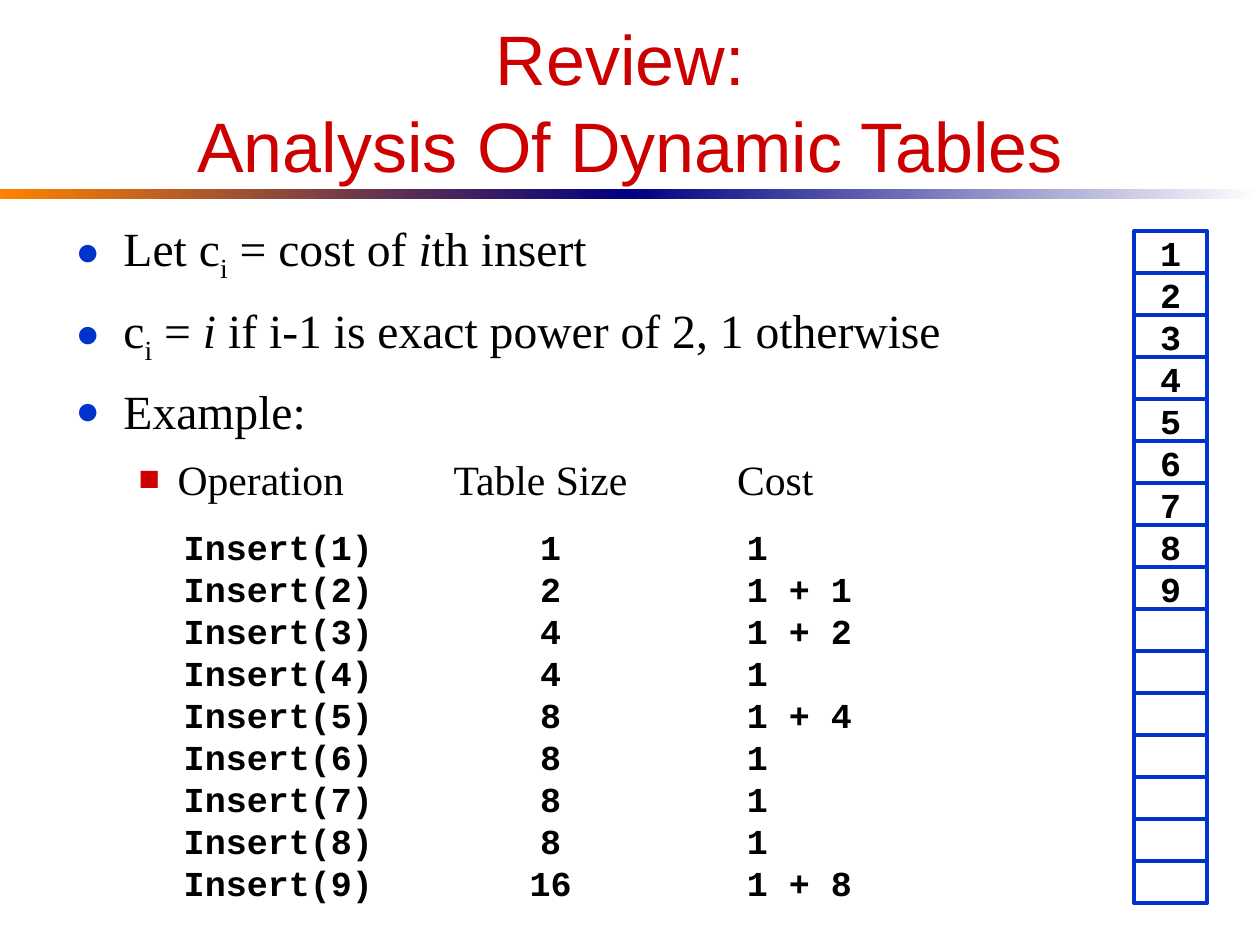
"""Build the slide reviewing the cost of inserts into a dynamic table."""
from lxml import etree
from pptx import Presentation
from pptx.dml.color import RGBColor
from pptx.enum.shapes import MSO_SHAPE
from pptx.enum.text import MSO_ANCHOR, MSO_AUTO_SIZE, PP_ALIGN
from pptx.oxml.ns import qn
from pptx.util import Inches, Pt

RECT = MSO_SHAPE.RECTANGLE
MIDDLE = MSO_ANCHOR.MIDDLE
LEFT, CENTER = PP_ALIGN.LEFT, PP_ALIGN.CENTER
COLORS = {"red": "CC0000", "blue": "0033CC", "navy": "000082",
          "orange": "FF8200", "white": "FFFFFF", "black": "000000"}

TITLE = "Review: \vAnalysis Of Dynamic Tables"
POINTS = [
    (0, [("Let c", ""), ("i", "sub"), (" = cost of ", ""), ("i", "ital"),
         ("th insert", "")]),
    (0, [("c", ""), ("i", "sub"), (" = ", ""), ("i", "ital"),
         (" if i-1 is exact power of 2, 1 otherwise", "")]),
    (0, [("Example:", "")]),
    (1, [("Operation\tTable Size\tCost", "")]),
]
LEVELS = [
    {"size": 27.2, "before": 8, "left": 0.38, "hang": 0.38, "mark": "●", "color": "blue"},
    {"size": 23.8, "before": 7, "left": 0.81, "hang": 0.31, "mark": "■", "color": "red"},
]
TABS = [3, 5.25]
SIZES = [1, 2, 4, 4, 8, 8, 8, 8, 16]
COSTS = ["1", "1 + 1", "1 + 2", "1", "1 + 4", "1", "1", "1", "1 + 8"]
SLOTS = 16

WIDE, HIGH = 10, 7.5
ROW = 1 / 3
CELL = 0.58
STACK_X, STACK_Y = 9, 5.5 * ROW
LIST_Y = 12.5 * ROW
COLUMNS = [(1.92, CELL, CENTER), (4.08, CELL, CENTER), (5.83, 0.83, LEFT)]
BARS = [("orange", "navy"), ("navy", "white")]


def hue(name):
    return RGBColor.from_string(COLORS[name])


def style(para, face, size, color, bold=False):
    font = para.font
    font.name, font.size, font.bold = face, Pt(size), bold
    font.color.rgb = hue(color)


def place(shape, *box):
    shape.left, shape.top, shape.width, shape.height = map(Inches, box)


def add_rect(slide, *box):
    shape = slide.shapes.add_shape(RECT, *map(Inches, box))
    shape.shadow.inherit = False
    shape.line.fill.background()
    return shape


def add_cell(slide, box, text, align=CENTER, edge=False):
    cell = add_rect(slide, *box)
    cell.fill.solid()
    cell.fill.fore_color.rgb = hue("white")
    if edge:
        cell.line.color.rgb = hue("blue")
        cell.line.width = Pt(2.25)
    if text:
        frame = cell.text_frame
        frame.word_wrap = False
        frame.vertical_anchor = MIDDLE
        para = frame.paragraphs[0]
        para.text, para.alignment = text, align
        style(para, "Courier New", 20, "black", True)


def add_bullet(para, look):
    props = para._p.get_or_add_pPr()
    props.set("marL", str(Inches(look["left"])))
    props.set("indent", str(-Inches(look["hang"])))
    tint = etree.SubElement(props, qn("a:buClr"))
    etree.SubElement(tint, qn("a:srgbClr"), val=COLORS[look["color"]])
    etree.SubElement(props, qn("a:buSzPct"), val="85000")
    etree.SubElement(props, qn("a:buFont"), typeface="Times New Roman")
    etree.SubElement(props, qn("a:buChar"), char=look["mark"])
    stops = etree.SubElement(props, qn("a:tabLst"))
    for stop in TABS:
        etree.SubElement(stops, qn("a:tab"), pos=str(Inches(stop)), algn="l")


def fill_body(frame):
    frame.auto_size = MSO_AUTO_SIZE.NONE
    for i, (level, parts) in enumerate(POINTS):
        look = LEVELS[level]
        para = frame.paragraphs[0] if i == 0 else frame.add_paragraph()
        para.level = level
        para.line_spacing = 1.04
        para.space_before = Pt(look["before"] if i else 0)
        add_bullet(para, look)
        style(para, "Times New Roman", look["size"], "black")
        for text, kind in parts:
            run = para.add_run()
            run.text = text
            if kind == "sub":
                run._r.get_or_add_rPr().set("baseline", "-25000")
            elif kind == "ital":
                run.font.italic = True


def main():
    deck = Presentation()
    deck.slide_width, deck.slide_height = Inches(WIDE), Inches(HIGH)
    slide = deck.slides.add_slide(deck.slide_layouts[1])
    title, body = slide.placeholders

    place(title, 0.5, 0.25, 9, 1.08)
    frame = title.text_frame
    frame.auto_size = MSO_AUTO_SIZE.NONE
    frame.vertical_anchor = MIDDLE
    para = frame.paragraphs[0]
    para.text, para.alignment, para.line_spacing = TITLE, CENTER, 1.04
    style(para, "Arial", 40, "red")

    place(body, 0.5, 1.67, 9, 2.25)
    fill_body(body.text_frame)

    half = WIDE / len(BARS)
    for i, ends in enumerate(BARS):
        bar = add_rect(slide, i * half, HIGH / 5, half, 0.08)
        bar.fill.gradient()
        bar.fill.gradient_angle = 0
        for stop, name in zip(bar.fill.gradient_stops, ends):
            stop.color.rgb = hue(name)

    for i, (size, cost) in enumerate(zip(SIZES, COSTS)):
        texts = (f"Insert({i + 1})", str(size), cost)
        for text, (x, wide, align) in zip(texts, COLUMNS):
            add_cell(slide, (x, LIST_Y + i * ROW, wide, ROW), text, align)

    for i in range(SLOTS):
        text = str(i + 1) if i < len(SIZES) else ""
        add_cell(slide, (STACK_X, STACK_Y + i * ROW, CELL, ROW), text, edge=True)

    deck.save("out.pptx")


if __name__ == "__main__":
    main()
